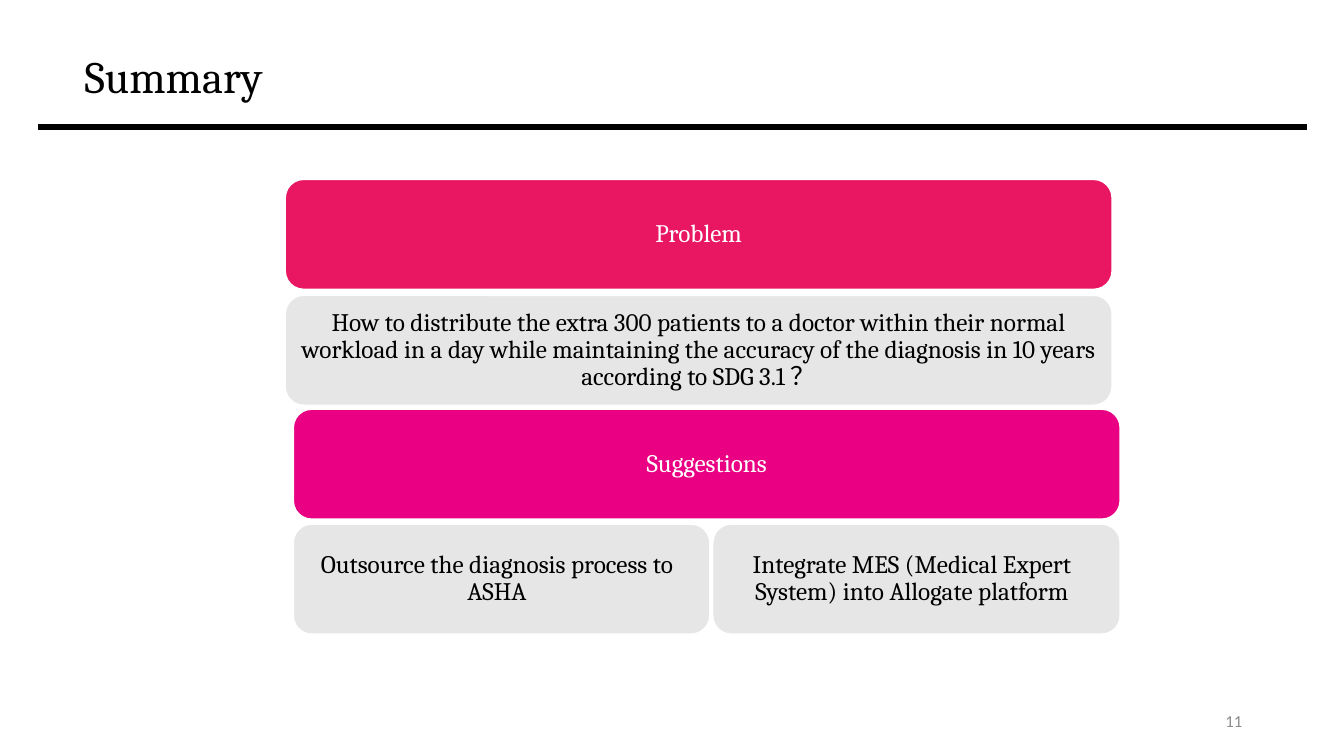
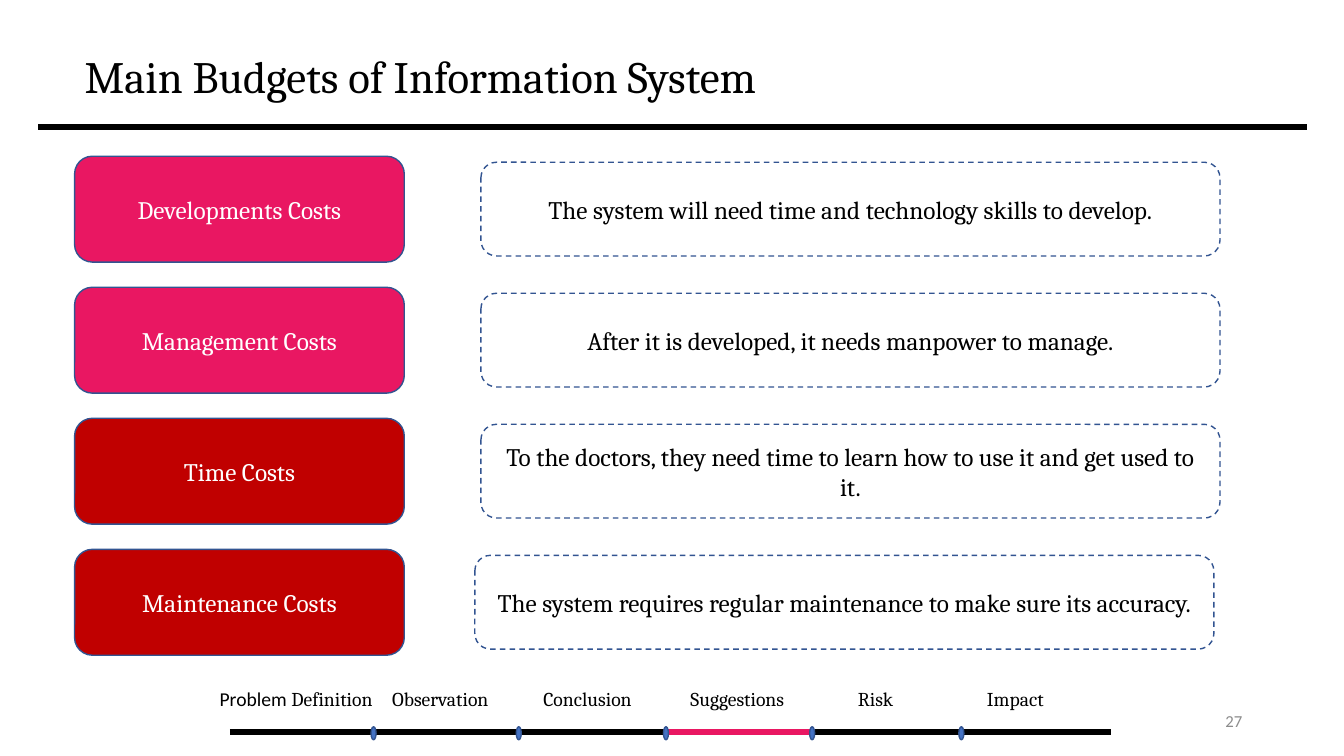
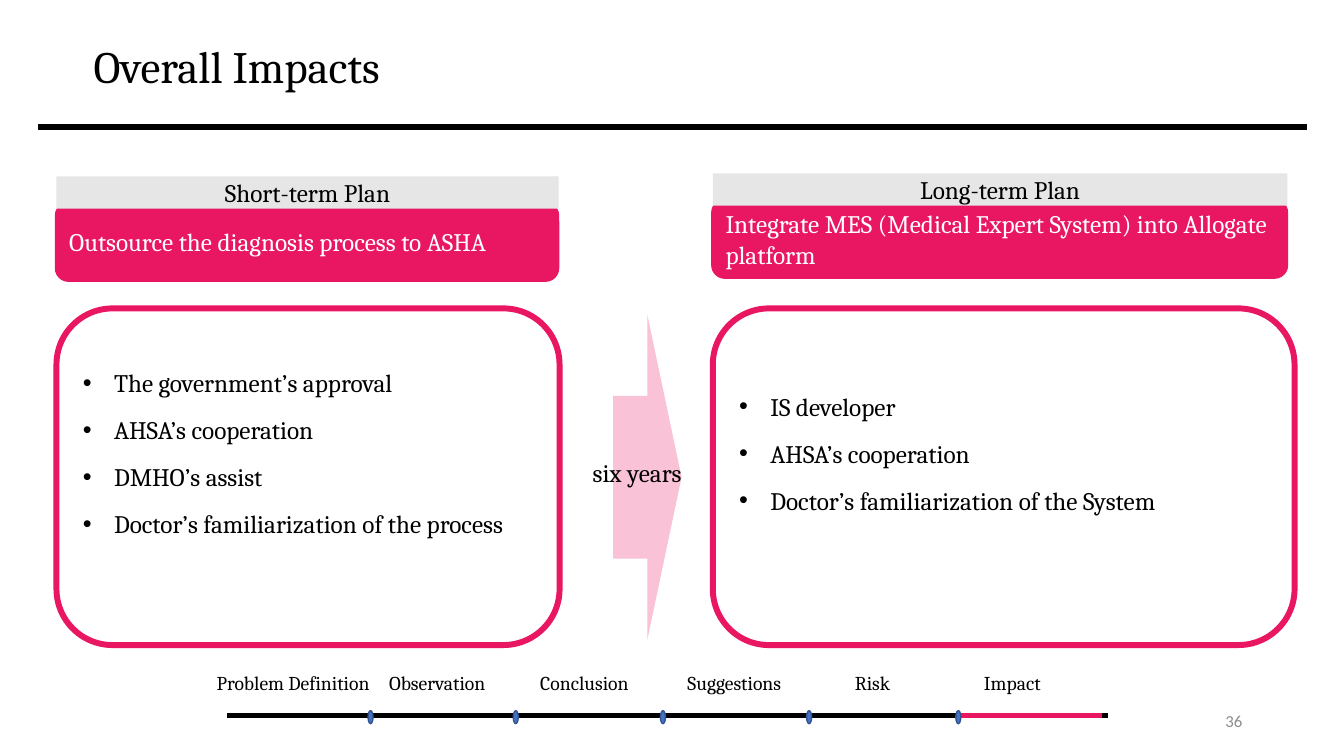
"""Build three slides on a medical information system: summary, budgets and impacts."""
import pptx
import pptx.dml.color
import pptx.enum.dml
import pptx.enum.shapes
import pptx.enum.text
import pptx.oxml.ns
import pptx.util
from lxml import etree

Inches = pptx.util.Inches
SHAPE = pptx.enum.shapes.MSO_SHAPE
ALIGN = pptx.enum.text.PP_ALIGN
ANCHOR = pptx.enum.text.MSO_ANCHOR

SERIF, SANS = "Cambria", "Calibri"
BLACK, WHITE, GREY, NUMBER_GREY = "000000", "FFFFFF", "E7E6E6", "8C8C8C"
PINK, MAGENTA, RED = "E91762", "E90083", "C00000"
BLUE, NAVY = "4472C4", "325491"
DEFAULT_INSETS = (0.1, 0.05, 0.1, 0.05)

STAGES = [
    ("Problem Definition", -0.2, 1.76),
    ("Observation", 1.51, 1.22),
    ("Conclusion", 3.01, 1.13),
    ("Suggestions", 4.47, 1.2),
    ("Risk", 6.13, 0.57),
    ("Impact", 7.41, 0.79),
]
STAGE_BOUNDARIES = [1.42, 2.86, 4.32, 5.77, 7.25]


def colour(hex_string):
    """Turn a hex string into a colour."""
    return pptx.dml.color.RGBColor.from_string(hex_string)


def add_element(parent, tag, **attributes):
    """Append a drawing element with attributes."""
    element = etree.SubElement(parent, pptx.oxml.ns.qn(tag))
    for key, value in attributes.items():
        element.set(key, str(value))
    return element


def add_bullet(paragraph):
    """Give a paragraph a hanging round bullet."""
    properties = paragraph._p.get_or_add_pPr()
    indent = Inches(0.31)
    properties.set("marL", str(indent))
    properties.set("indent", str(-indent))
    add_element(properties, "a:buFont", typeface="Arial")
    add_element(properties, "a:buChar", char="•")


def write(frame, *lines, size=18, font=SERIF, ink=BLACK, align=ALIGN.LEFT, anchor=ANCHOR.MIDDLE,
          spacing=None, after=0, bullets=False, wrap=True, insets=DEFAULT_INSETS, sans_lead=""):
    """Fill a text frame, one paragraph for each line."""
    frame.word_wrap = wrap
    frame.vertical_anchor = anchor
    frame.margin_left, frame.margin_top, frame.margin_right, frame.margin_bottom = map(Inches, insets)
    for index, line in enumerate(lines):
        paragraph = frame.add_paragraph() if index else frame.paragraphs[0]
        if bullets:
            add_bullet(paragraph)
        paragraph.alignment = align
        paragraph.space_after = pptx.util.Pt(after)
        if spacing:
            paragraph.line_spacing = spacing
        pieces = [(sans_lead, SANS)] if sans_lead else []
        for piece, typeface in pieces + [(line, font)]:
            run = paragraph.add_run()
            run.text = piece
            run.font.name = typeface
            run.font.size = pptx.util.Pt(size)
            run.font.color.rgb = colour(ink)


def add_label(slide, left, top, width, height, text, **text_format):
    """Place text that has no outline."""
    label = slide.shapes.add_textbox(*map(Inches, (left, top, width, height)))
    write(label.text_frame, text, **text_format)


def add_panel(slide, kind, left, top, width, height, fill=None, line=None, weight=1, dashed=False):
    """Place a preset shape with a flat fill and outline."""
    panel = slide.shapes.add_shape(kind, *map(Inches, (left, top, width, height)))
    panel.shadow.inherit = False
    if fill:
        panel.fill.solid()
        panel.fill.fore_color.rgb = colour(fill)
    else:
        panel.fill.background()
    if line:
        panel.line.color.rgb = colour(line)
        panel.line.width = pptx.util.Pt(weight)
        if dashed:
            panel.line.dash_style = pptx.enum.dml.MSO_LINE.DASH
    else:
        panel.line.fill.background()
    return panel


def add_rule(slide, start, end, height, ink=BLACK):
    """Draw a heavy horizontal line."""
    rule = slide.shapes.add_connector(pptx.enum.shapes.MSO_CONNECTOR.STRAIGHT,
                                      *map(Inches, (start, height, end, height)))
    rule.line.color.rgb = colour(ink)
    rule.line.width = pptx.util.Pt(4)
    add_element(rule._element.spPr, "a:effectLst")


def add_page(deck, title, number, title_left=0.74, title_centre=0.78):
    """Add a slide with its title, rule and number."""
    slide = deck.slides.add_slide(deck.slide_layouts[6])
    add_label(slide, title_left, title_centre - 0.6, 11.5, 1.2, title, size=32, spacing=0.9)
    add_rule(slide, 0.38, 12.96, 1.26)
    add_label(slide, 9.42, 6.95, 3, 0.4, number, size=12, font=SANS, ink=NUMBER_GREY, align=ALIGN.RIGHT)
    return slide


def add_progress(slide, left, height, active, sans_lead=""):
    """Draw the stage line with the active stage in pink."""
    add_rule(slide, left, left + 8.74, height)
    active_start = left + STAGE_BOUNDARIES[active - 1] + 0.03
    add_rule(slide, active_start, active_start + 1.4, height, PINK)
    for boundary in STAGE_BOUNDARIES:
        add_panel(slide, SHAPE.OVAL, left + boundary - 0.02, height - 0.05, 0.05, 0.13, BLUE, NAVY)
    for index, (stage, offset, width) in enumerate(STAGES):
        lead = "" if index else sans_lead
        add_label(slide, left + offset, height - 0.49, width, 0.34, stage.removeprefix(lead), size=14,
                  anchor=ANCHOR.TOP, wrap=False, sans_lead=lead)


def add_plan(slide, left, top, card_width, heading, action, frame_width, needs):
    """Draw a plan's heading, action and list of needs."""
    card = add_panel(slide, SHAPE.ROUNDED_RECTANGLE, left, top + 0.26, card_width, 0.78, PINK, PINK)
    write(card.text_frame, action, ink=WHITE)
    band = add_panel(slide, SHAPE.RECTANGLE, left + 0.01, top, card_width - 0.01, 0.32, GREY)
    write(band.text_frame, heading, align=ALIGN.CENTER)
    frame = add_panel(slide, SHAPE.ROUNDED_RECTANGLE, left + 0.01, 3.06, frame_width, 3.34,
                      line=PINK, weight=4.25)
    write(frame.text_frame, *needs, after=12, bullets=True, insets=(0.1, 0.05, 0.1, 0.52))


def build_summary(deck):
    """Build the problem and suggestions slide."""
    slide = add_page(deck, "Summary", "11")
    even, narrow = (0.07,) * 4, (0.05, 0.07, 0.14, 0.07)
    question = ("How to distribute the extra 300 patients to a doctor within their normal workload in a day "
                "while maintaining the accuracy of the diagnosis in 10 years according to SDG 3.1 ？")
    blocks = [
        (2.83, 1.78, 8.2, PINK, WHITE, even, "Problem"),
        (2.83, 2.93, 8.2, GREY, BLACK, even, question),
        (2.91, 4.06, 8.2, MAGENTA, WHITE, even, "Suggestions"),
        (2.91, 5.2, 4.13, GREY, BLACK, narrow, "Outsource the diagnosis process to ASHA"),
        (7.07, 5.2, 4.04, GREY, BLACK, narrow, "Integrate MES (Medical Expert System) into Allogate platform"),
    ]
    for left, top, width, fill, ink, insets, text in blocks:
        block = add_panel(slide, SHAPE.ROUNDED_RECTANGLE, left, top, width, 1.09, fill, WHITE)
        write(block.text_frame, text, ink=ink, align=ALIGN.CENTER, spacing=0.9, insets=insets)


def build_budgets(deck):
    """Build the cost slide."""
    slide = add_page(deck, "Main Budgets of Information System", "27")
    costs = [
        ("Developments Costs", PINK, 4.77, "The system will need time and technology skills to develop."),
        ("Management Costs", PINK, 4.77, "After it is developed, it needs manpower to manage."),
        ("Time Costs", RED, 4.77, "To the doctors, they need time to learn how to use it and get used to it."),
        ("Maintenance Costs", RED, 4.71, "The system requires regular maintenance to make sure its accuracy."),
    ]
    for index, (cost, fill, reason_left, reason) in enumerate(costs):
        top = 1.55 + 1.3 * index
        name = add_panel(slide, SHAPE.ROUNDED_RECTANGLE, 0.74, top, 3.27, 1.05, fill, NAVY)
        write(name.text_frame, cost, ink=WHITE, align=ALIGN.CENTER)
        detail = add_panel(slide, SHAPE.ROUNDED_RECTANGLE, reason_left, top + 0.06, 7.33, 0.93,
                           line=NAVY, dashed=True)
        write(detail.text_frame, reason, align=ALIGN.CENTER)
    add_progress(slide, 2.28, 7.26, active=3, sans_lead="Problem ")


def build_impacts(deck):
    """Build the short-term and long-term plan slide."""
    slide = add_page(deck, "Overall Impacts", "36", title_left=0.83, title_centre=0.68)
    add_plan(slide, 0.55, 1.75, 4.99, "Short-term Plan", "Outsource the diagnosis process to ASHA", 4.99,
             ["The government’s approval", "AHSA’s cooperation", "DMHO’s assist",
              "Doctor’s familiarization of the process"])
    add_plan(slide, 7.06, 1.72, 5.71, "Long-term Plan",
             "Integrate MES (Medical Expert System) into Allogate platform", 5.77,
             ["IS developer", "AHSA’s cooperation", "Doctor’s familiarization of the System"])
    passage = add_panel(slide, SHAPE.RIGHT_ARROW, 6.08, 3.12, 0.68, 3.23, PINK)
    tint = passage._element.spPr.find(".//" + pptx.oxml.ns.qn("a:srgbClr"))
    add_element(tint, "a:alpha", val=26000)
    add_label(slide, 5.78, 4.49, 1.14, 0.4, "six years", anchor=ANCHOR.TOP, wrap=False)
    add_progress(slide, 2.25, 7.1, active=5)


def main():
    """Build and save the deck."""
    deck = pptx.Presentation()
    deck.slide_width, deck.slide_height = Inches(13.33), Inches(7.5)
    build_summary(deck)
    build_budgets(deck)
    build_impacts(deck)
    deck.save("out.pptx")


if __name__ == "__main__":
    main()
